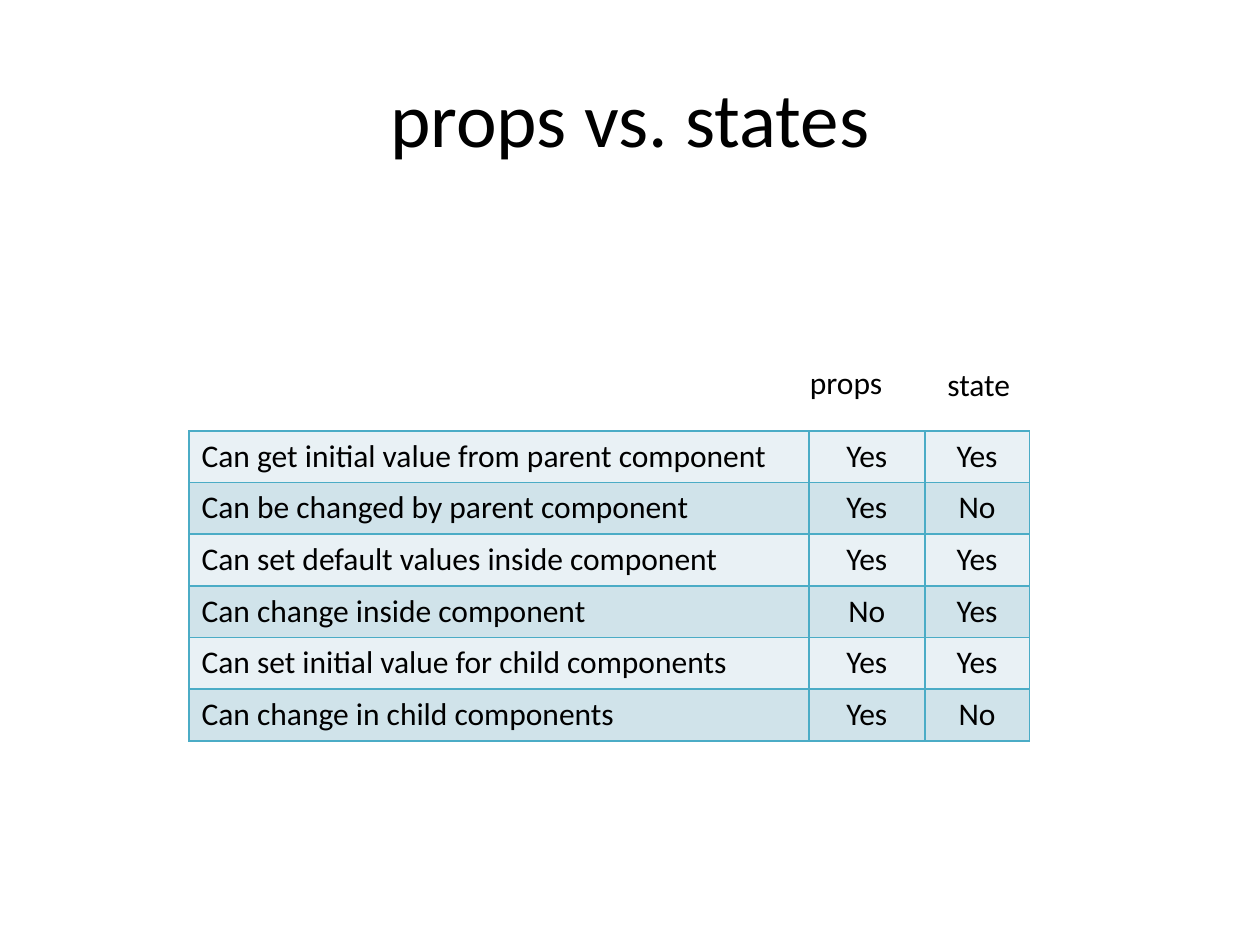
from dataclasses import dataclass

from lxml import etree
from pptx import Presentation
from pptx.dml.color import RGBColor
from pptx.enum import text
from pptx.oxml import ns
from pptx.util import Inches, Pt

FONT = "Calibri"
COLORS = {"text": "000000", "border": "4BACC6", "light": "E9F1F5", "dark": "D0E3EA"}
COLUMN_WIDTHS = (4.92, 0.92, 0.83)
ROW_HEIGHT = 0.41


@dataclass
class Capability:
    name: str
    props: str
    state: str


@dataclass
class Heading:
    label: str
    left: float
    top: float


CAPABILITIES = [
    Capability("Can get initial value from parent component", "Yes", "Yes"),
    Capability("Can be changed by parent component", "Yes", "No"),
    Capability("Can set default values inside component", "Yes", "Yes"),
    Capability("Can change inside component", "No", "Yes"),
    Capability("Can set initial value for child components", "Yes", "Yes"),
    Capability("Can change in child components", "Yes", "No"),
]
HEADINGS = [Heading("props", 6.33, 2.83), Heading("state", 7.42, 2.85)]


def write(tf, content: str, size: int = 18, align=text.PP_ALIGN.LEFT) -> None:
    p = tf.paragraphs[0]
    p.alignment = align
    r = p.add_run()
    r.text = content
    r.font.name = FONT
    r.font.size = Pt(size)
    r.font.color.rgb = RGBColor.from_string(COLORS["text"])


def add_borders(cell) -> None:
    tc_pr = cell._tc.get_or_add_tcPr()
    for side in ("a:lnL", "a:lnR", "a:lnT", "a:lnB"):
        ln = etree.SubElement(tc_pr, ns.qn(side), w=str(Pt(1)))
        fill = etree.SubElement(ln, ns.qn("a:solidFill"))
        etree.SubElement(fill, ns.qn("a:srgbClr"), val=COLORS["border"])


def add_title(slide, content: str) -> None:
    title = slide.shapes.title
    title.left, title.top = Inches(0.5), Inches(0.3)
    title.width, title.height = Inches(9), Inches(1.25)
    title.text_frame.vertical_anchor = text.MSO_ANCHOR.MIDDLE
    write(title.text_frame, content, 44, text.PP_ALIGN.CENTER)


def add_comparison(slide, rows: list[Capability]) -> None:
    frame = slide.shapes.add_table(
        len(rows), len(COLUMN_WIDTHS), Inches(1.5), Inches(3.42),
        Inches(sum(COLUMN_WIDTHS)), Inches(ROW_HEIGHT * len(rows)))
    table = frame.table
    table.first_row = table.horz_banding = False
    for column, width in zip(table.columns, COLUMN_WIDTHS):
        column.width = Inches(width)
    for i, row in enumerate(rows):
        table.rows[i].height = Inches(ROW_HEIGHT)
        for j, value in enumerate((row.name, row.props, row.state)):
            cell = table.cell(i, j)
            add_borders(cell)
            cell.fill.solid()
            cell.fill.fore_color.rgb = RGBColor.from_string(
                COLORS["dark" if i % 2 else "light"])
            align = text.PP_ALIGN.CENTER if j else text.PP_ALIGN.LEFT
            write(cell.text_frame, value, align=align)


def add_heading(slide, heading: Heading) -> None:
    box = slide.shapes.add_textbox(
        Inches(heading.left), Inches(heading.top), Inches(1.08), Inches(0.4))
    tf = box.text_frame
    tf.word_wrap = True
    tf.auto_size = text.MSO_AUTO_SIZE.SHAPE_TO_FIT_TEXT
    write(tf, heading.label)


def main() -> None:
    prs = Presentation()
    prs.slide_width, prs.slide_height = Inches(10), Inches(7.5)
    slide = prs.slides.add_slide(prs.slide_layouts[5])
    add_title(slide, "props vs. states")
    add_comparison(slide, CAPABILITIES)
    for heading in HEADINGS:
        add_heading(slide, heading)
    prs.save("out.pptx")


if __name__ == "__main__":
    main()
